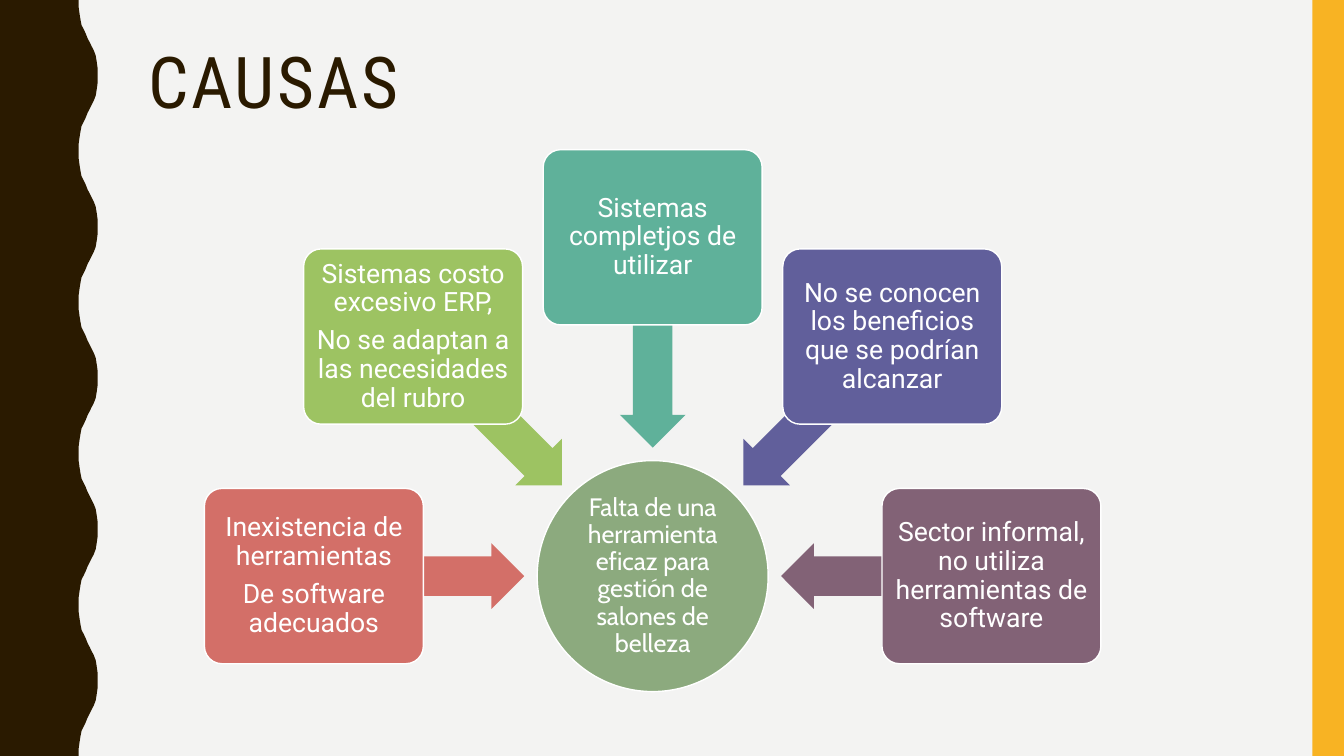
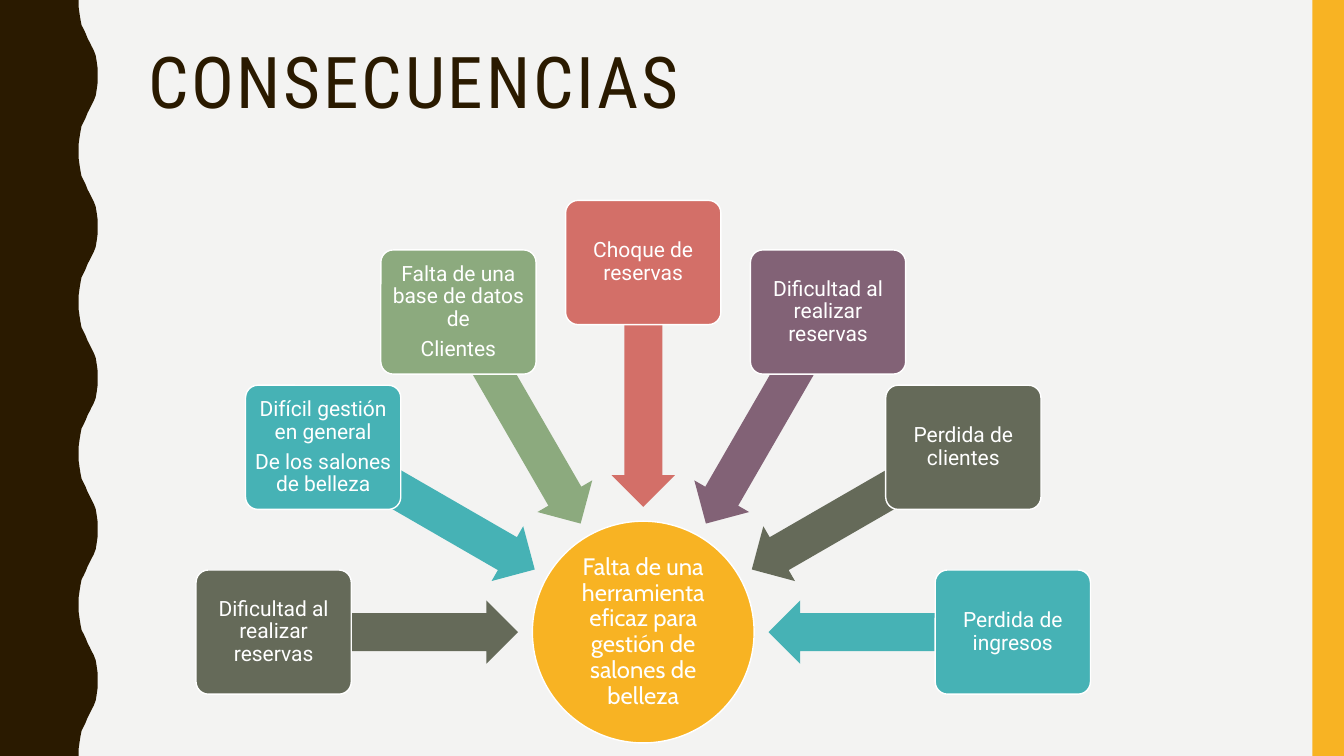
"""Two slides of causes and consequences, each a half ring of boxes around a hub."""
from math import cos, radians, sin

from pptx import Presentation
from pptx.dml.color import RGBColor as Rgb
from pptx.enum import shapes as es, text as et
from pptx.oxml import parse_xml
from pptx.oxml.ns import nsdecls, qn
from pptx.util import Pt

WIDE, HIGH = 960, 540
PAPER = Rgb(0xF3, 0xF3, 0xF2)
WHITE = Rgb(0xFF, 0xFF, 0xFF)
BROWN = Rgb(0x2A, 0x1A, 0x00)
GOLD = Rgb(0xF8, 0xB3, 0x23)
SAGE = Rgb(0x8C, 0xAA, 0x7E)
CORAL = Rgb(0xD3, 0x6F, 0x68)
LIME = Rgb(0x9D, 0xC3, 0x62)
JADE = Rgb(0x5F, 0xB1, 0x9A)
INDIGO = Rgb(0x61, 0x5F, 0x9B)
PLUM = Rgb(0x82, 0x62, 0x76)
OLIVE = Rgb(0x65, 0x6A, 0x59)
TEAL = Rgb(0x46, 0xB2, 0xB5)

HUB = "Falta de una herramienta eficaz para gestión de salones de belleza"
SLIDES = [
    dict(title="CAUSAS", mid=(466.2, 411.5), hub=(165, SAGE, 18),
         box=(156.4, 125.2), ring=242, arrow=(150.5, 46.9), reach=167, size=19,
         items=[
             (CORAL, ["Inexistencia de herramientas", "De software adecuados"]),
             (LIME, ["Sistemas costo excesivo ERP,",
                     "No se adaptan a las necesidades del rubro"]),
             (JADE, ["Sistemas completjos de utilizar"]),
             (INDIGO, ["No se conocen los beneficios que se podrían alcanzar"]),
             (PLUM, ["Sector informal, no utiliza herramientas de software"]),
         ]),
    dict(title="CONSECUENCIAS", mid=(459.5, 451.5), hub=(158.4, GOLD, 17),
         box=(110.9, 88.7), ring=264, arrow=(175, 45.2), reach=177, size=15,
         items=[
             (OLIVE, ["Dificultad al realizar reservas"]),
             (TEAL, ["Difícil gestión en general", "De los salones de belleza"]),
             (SAGE, ["Falta de una base de datos de", "Clientes"]),
             (CORAL, ["Choque de reservas"]),
             (PLUM, ["Dificultad al realizar reservas"]),
             (OLIVE, ["Perdida de clientes"]),
             (TEAL, ["Perdida de ingresos"]),
         ]),
]

WAVE = 108
CURVE = [(56.2, 0), (56.2, 5), (56.9, 10), (57.6, 14.4), (58.3, 18),
         (59.8, 20.9), (61.2, 23.8), (62.6, 27.4), (64.1, 30.2), (65.5, 33.1),
         (67, 36), (68.4, 39.6), (69.1, 43.9), (69.8, 49), (69.8, 54)]
STYLE = f"""<a:lstStyle {nsdecls('a')}><a:lvl1pPr algn="l">
<a:lnSpc><a:spcPct val="90000"/></a:lnSpc>
<a:defRPr sz="5100" spc="200"><a:solidFill><a:srgbClr val="{BROWN}"/></a:solidFill>
<a:latin typeface="Roboto Condensed"/></a:defRPr></a:lvl1pPr></a:lstStyle>"""


def paint(shape, fill, line=None):
    shape.shadow.inherit = False
    shape.fill.solid()
    shape.fill.fore_color.rgb = fill
    if line is None:
        shape.line.fill.background()
    else:
        shape.line.color.rgb = line
        shape.line.width = Pt(1)
    return shape


def center(slide, kind, mid, size, fill, line=None):
    (x, y), (w, h) = mid, size
    shape = slide.shapes.add_shape(
        kind, Pt(x - w / 2), Pt(y - h / 2), Pt(w), Pt(h))
    return paint(shape, fill, line)


def write(shape, lines, size, font, inset):
    frame = shape.text_frame
    frame.word_wrap = True
    frame.vertical_anchor = et.MSO_ANCHOR.MIDDLE
    frame.margin_left = frame.margin_right = Pt(inset)
    frame.margin_top = frame.margin_bottom = Pt(inset)
    for i, line in enumerate(lines):
        para = frame.add_paragraph() if i else frame.paragraphs[0]
        para.alignment = et.PP_ALIGN.CENTER
        para.line_spacing = 0.9
        para.space_after = Pt(0.35 * size)
        run = para.add_run()
        run.text = line
        run.font.size = Pt(size)
        run.font.name = font
        run.font.color.rgb = WHITE


def dress(layout, slide):
    layout.background.fill.solid()
    layout.background.fill.fore_color.rgb = PAPER
    half = CURVE + [(x, WAVE - y) for x, y in CURVE[-2::-1]]
    edge = [(x, y + n * WAVE) for n in range(HIGH // WAVE) for x, y in half]
    pen = slide.shapes.build_freeform(0, 0, scale=1.0)
    pen.add_line_segments([(Pt(x), Pt(y)) for x, y in edge + [(0, HIGH)]])
    wave = paint(pen.convert_to_shape(), BROWN)
    band = center(slide, es.MSO_SHAPE.RECTANGLE, (WIDE - 11.25, HIGH / 2),
                  (22.5, HIGH), GOLD)
    for i, shape in enumerate((wave, band)):
        layout.shapes.element.insert(2 + i, shape.element)
    title = layout.placeholders[0]
    title.left, title.top = Pt(98.6), Pt(30.2)
    title.width, title.height = Pt(801.4), Pt(117.4)
    title.text_frame.vertical_anchor = et.MSO_ANCHOR.TOP
    title.text_frame.auto_size = et.MSO_AUTO_SIZE.NONE
    old = title.element.find(".//" + qn("a:lstStyle"))
    old.getparent().replace(old, parse_xml(STYLE))


def draw(slide, data):
    run = slide.shapes.title.text_frame.paragraphs[0].add_run()
    run.text = data["title"]
    x, y = data["mid"]
    wide, fill, size = data["hub"]
    hub = center(slide, es.MSO_SHAPE.OVAL, (x, y), (wide, wide), fill, WHITE)
    write(hub, [HUB], size, "Cabin", 0.05 * size)
    items = data["items"]
    for i, (fill, lines) in enumerate(items):
        turn = 180 + i * 180 / (len(items) - 1)
        dx, dy = cos(radians(turn)), sin(radians(turn))
        reach, ring = data["reach"], data["ring"]
        arrow = center(slide, es.MSO_SHAPE.LEFT_ARROW,
                       (x + reach * dx, y + reach * dy), data["arrow"], fill)
        arrow.adjustments[0], arrow.adjustments[1] = 0.6, 0.5
        arrow.rotation = turn % 360
        box = center(slide, es.MSO_SHAPE.ROUNDED_RECTANGLE,
                     (x + ring * dx, y + ring * dy), data["box"], fill, WHITE)
        box.adjustments[0] = 0.1
        write(box, lines, data["size"], "Roboto", 0.15 * data["size"])


def main():
    deck = Presentation()
    deck.slide_width, deck.slide_height = Pt(WIDE), Pt(HIGH)
    layout = deck.slide_layouts[5]
    slides = [deck.slides.add_slide(layout) for _ in SLIDES]
    dress(layout, slides[0])
    for slide, data in zip(slides, SLIDES):
        draw(slide, data)
    deck.save("out.pptx")


if __name__ == "__main__":
    main()
